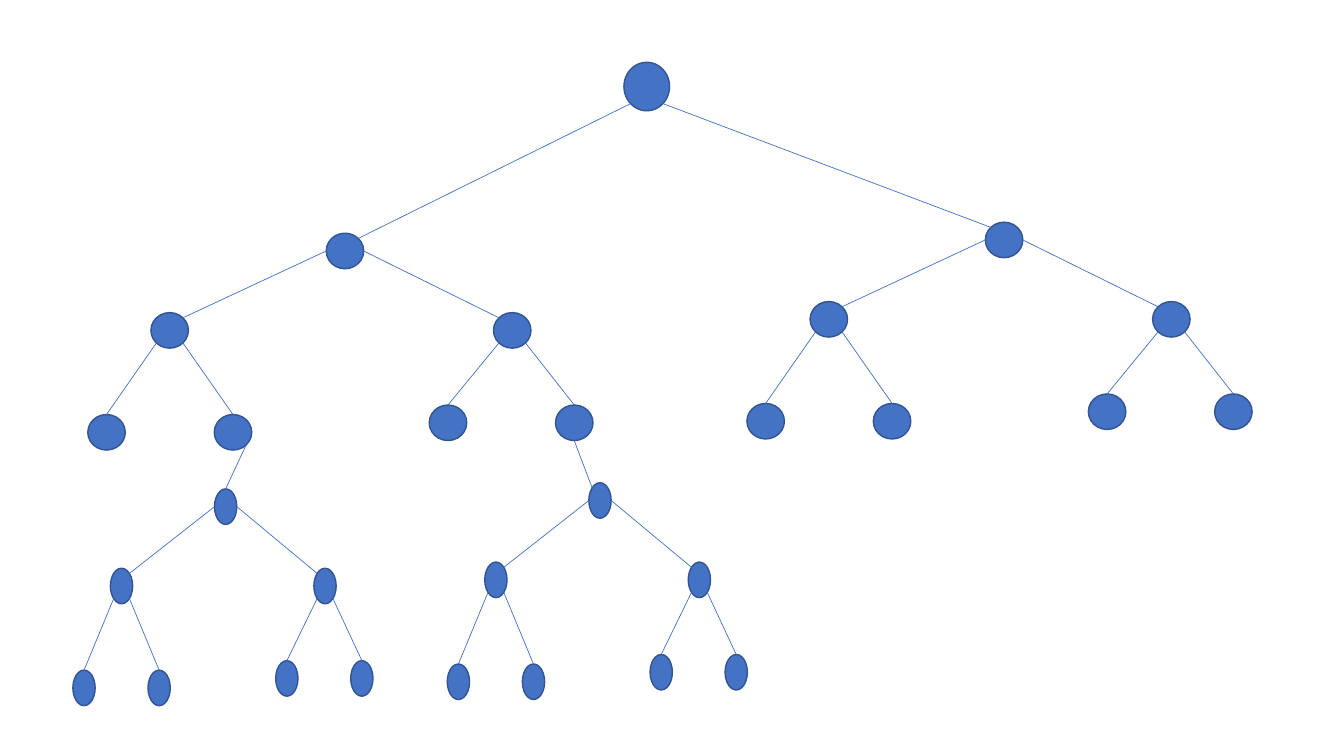
from math import sqrt

from lxml import etree
from pptx import Presentation
from pptx.dml.color import RGBColor
from pptx.enum.shapes import MSO_CONNECTOR, MSO_SHAPE
from pptx.oxml.ns import qn
from pptx.util import Pt

OVAL = MSO_SHAPE.OVAL
STRAIGHT = MSO_CONNECTOR.STRAIGHT
BLUE = RGBColor(0x44, 0x72, 0xC4)
DARK_BLUE = RGBColor(0x32, 0x54, 0x91)

NODE_W, NODE_H = 26.8, 25.4

# Node centres relative to the root of a subtree; "LR" is the right child of "L"
SUBTREE = {
    "": (0, 0),
    "L": (-125.2, 56.7), "R": (119.5, 56.7),
    "LL": (-170.3, 129.5), "LR": (-80, 129.5),
    "RL": (73.6, 122.7), "RR": (163.8, 122.7),
}

# Name: root centre x, y, horizontal scale
SUBTREES = {
    "left": (246.4, 179.3, 1),
    "right": (717.2, 171.4, 1),
    "lower right": (428.6, 357.5, 0.594),
    "lower left": (161.2, 361.9, 0.594),
}
TOP = (462, 61.8, 32.6, 34.6)

# Direction of each connection site, as a share of the half axes
D = 1 / sqrt(2)
SITES = {
    "N": (0, -1), "S": (0, 1), "W": (-1, 0), "E": (1, 0),
    "NW": (-D, -D), "NE": (D, -D), "SW": (-D, D), "SE": (D, D),
}

# Links between subtrees: node, site, node, site
LINKS = [
    ("top", "SW", "left", "NE"),
    ("top", "SE", "right", "NW"),
    ("left LR", "SE", "lower left", "N"),
    ("left RR", "S", "lower right", "NW"),
]


def add_node(shapes, node):
    x, y, w, h = node
    s = shapes.add_shape(OVAL, Pt(x - w / 2), Pt(y - h / 2), Pt(w), Pt(h))
    s.shadow.inherit = False
    s.fill.solid()
    s.fill.fore_color.rgb = BLUE
    s.line.color.rgb = DARK_BLUE
    s.line.width = Pt(1)


def site_point(node, site):
    x, y, w, h = node
    dx, dy = SITES[site]
    return Pt(x + dx * w / 2), Pt(y + dy * h / 2)


def add_edge(shapes, start, start_site, end, end_site):
    c = shapes.add_connector(STRAIGHT, *site_point(start, start_site),
                             *site_point(end, end_site))
    c.line.color.rgb = BLUE
    c.line.width = Pt(0.5)
    etree.SubElement(c._element.spPr, qn("a:effectLst"))


def edge_sites(child):
    """Sites used at the parent and at the child of a subtree edge."""
    left = child[-1] == "L"
    if len(child) == 1:
        return ("W", "NE") if left else ("E", "NW")
    return ("SW" if left else "SE"), "N"


def add_subtree(slide, x, y, scale):
    """Draw one grouped subtree and return its nodes by key."""
    shapes = slide.shapes.add_group_shape().shapes
    nodes = {key: (x + dx * scale, y + dy, NODE_W * scale, NODE_H)
             for key, (dx, dy) in SUBTREE.items()}
    for key, node in nodes.items():
        add_node(shapes, node)
        if key:
            parent_site, child_site = edge_sites(key)
            add_edge(shapes, nodes[key[:-1]], parent_site, node, child_site)
    return nodes


def main():
    prs = Presentation()
    prs.slide_width, prs.slide_height = Pt(960), Pt(540)
    slide = prs.slides.add_slide(prs.slide_layouts[6])

    tree = {"top": TOP}
    add_node(slide.shapes, TOP)
    for name, root in SUBTREES.items():
        for key, node in add_subtree(slide, *root).items():
            tree[f"{name} {key}".strip()] = node
    for start, start_site, end, end_site in LINKS:
        add_edge(slide.shapes, tree[start], start_site, tree[end], end_site)

    prs.save("out.pptx")


if __name__ == "__main__":
    main()
